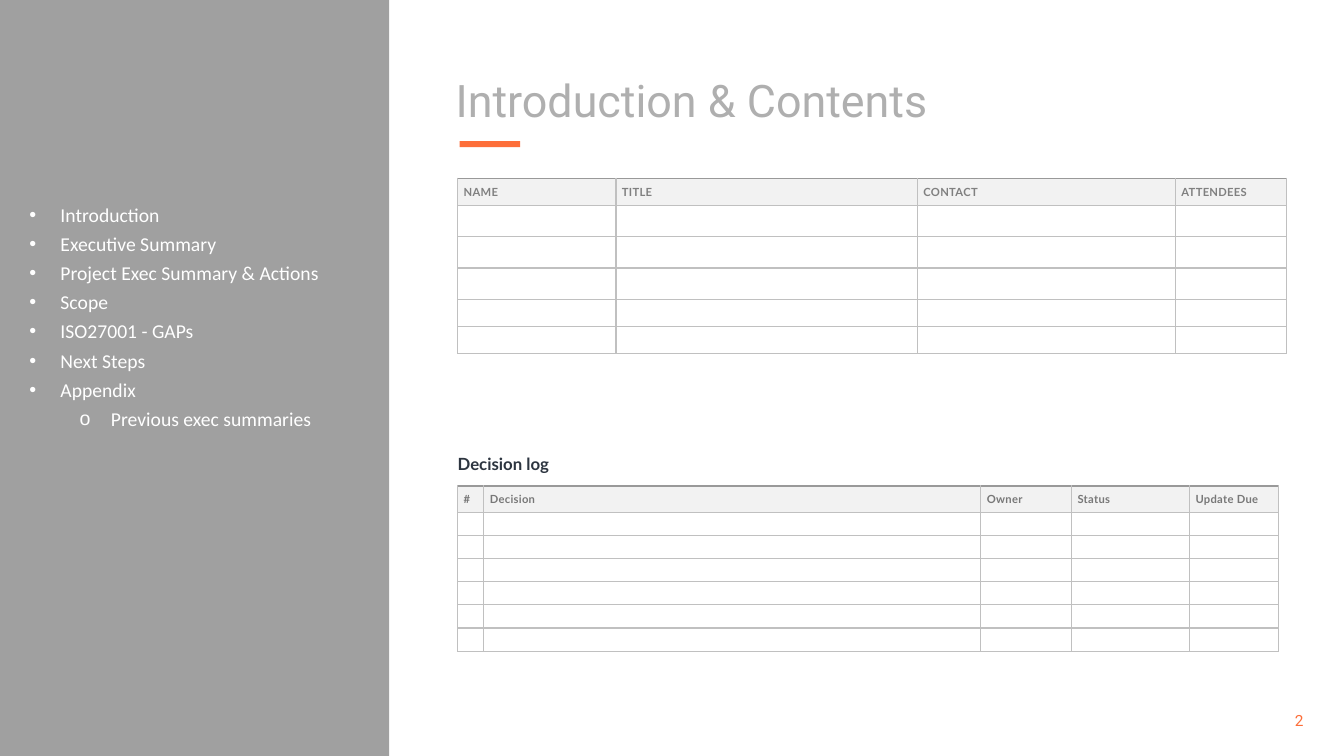
from lxml.etree import SubElement
from pptx import Presentation
from pptx.dml.color import RGBColor
from pptx.enum.shapes import MSO_SHAPE
from pptx.enum.text import MSO_ANCHOR, MSO_AUTO_SIZE, PP_ALIGN
from pptx.oxml import parse_xml
from pptx.oxml.ns import nsdecls, qn
from pptx.util import Inches, Pt

THEME = {
    "sidebar": "A0A0A0", "accent": "FD6E39", "title": "AFAFAF",
    "contents": "FFFFFF", "log": "2D3540", "header_fill": "F2F2F2",
    "grid": "C0C0C0", "header_edge": "999999",
    "display": "Roboto", "body": "Calibri", "label": "Lato",
    "title_size": 32, "contents_size": 14, "log_size": 12,
    "number_size": 11, "label_size": 8,
}

deck = Presentation()
deck.slide_width, deck.slide_height = Inches(13.33), Inches(7.5)
slide = deck.slides.add_slide(deck.slide_layouts[1])


def area(left, top, width, height):
    """Turn percentages of the slide's width and height into lengths."""
    across, down = deck.slide_width / 100, deck.slide_height / 100
    return int(left * across), int(top * down), int(width * across), int(height * down)


def write(paragraph, text, *, size, font, color, bold=False, align=PP_ALIGN.LEFT,
          before=0, after=0, leading=1.0, tracking=0):
    paragraph.alignment = align
    paragraph.space_before, paragraph.space_after = Pt(before), Pt(after)
    paragraph.line_spacing = leading
    run = paragraph.add_run()
    run.text = text
    run.font.size, run.font.name, run.font.bold = Pt(size), font, bold
    run.font.color.rgb = RGBColor.from_string(color)
    if tracking:
        run.font._element.set("spc", str(int(tracking * 100)))


# Sidebar and accent bar, behind the text
for depth, (place, color) in enumerate([
    ((0, 0, 28.95, 100), THEME["sidebar"]),
    ((34.2, 18.67, 4.5, 0.8), THEME["accent"]),
]):
    bar = slide.shapes.add_shape(MSO_SHAPE.RECTANGLE, *area(*place))
    bar.shadow.inherit = False
    bar.fill.solid()
    bar.fill.fore_color.rgb = RGBColor.from_string(color)
    bar.line.fill.background()
    slide.shapes._spTree.insert(2 + depth, bar._element)

# Title
title = slide.shapes.title
title.left, title.top, title.width, title.height = area(33.15, 6.4, 60.15, 14.4)
title.text_frame.auto_size = MSO_AUTO_SIZE.NONE
title.text_frame.vertical_anchor = MSO_ANCHOR.MIDDLE
write(title.text_frame.paragraphs[0], "Introduction & Contents", leading=0.9,
      size=THEME["title_size"], font=THEME["display"], color=THEME["title"])

# Contents list
contents = slide.placeholders[1]
contents.left, contents.top, contents.width, contents.height = area(0.75, 26.13, 27.45, 34.67)
contents.text_frame.auto_size = MSO_AUTO_SIZE.NONE
contents.text_frame.vertical_anchor = MSO_ANCHOR.TOP
sections = [
    ("Introduction", 0), ("Executive Summary", 0),
    ("Project Exec Summary & Actions", 0), ("Scope", 0),
    ("ISO27001 - GAPs", 0), ("Next Steps", 0), ("Appendix", 0),
    ("Previous exec summaries", 1),
]
for index, (section, level) in enumerate(sections):
    frame = contents.text_frame
    entry = frame.add_paragraph() if index else frame.paragraphs[0]
    entry.level = level
    write(entry, section, before=2, after=2, size=THEME["contents_size"],
          font=THEME["body"], color=THEME["contents"])
    indents = entry._p.get_or_add_pPr()
    indents.set("marL", str(Inches(0.4 + 0.5 * level)))
    indents.set("indent", str(Inches(-0.31)))
    SubElement(indents, qn("a:buChar")).set("char", "•o"[level])

# Attendee table and decision log: top, columns, rows, headings, heading colour
tables = [
    (23.6, [11.78, 22.43, 19.2, 8.25], [3.6] + [4.13] * 3 + [3.6] * 2,
     ["NAME", "TITLE", "CONTACT", "ATTENDEES"], "808080"),
    (64.27, [1.95, 36.98, 6.75, 8.78, 6.6], [3.47] + [3.07] * 6,
     ["#", "Decision", "Owner", "Status", "Update Due"], "787878"),
]
for top, columns, rows, headings, heading_color in tables:
    table = slide.shapes.add_table(
        len(rows), len(columns), *area(34.05, top, sum(columns), sum(rows))).table
    table.first_row = table.horz_banding = False
    for column, share in zip(table.columns, columns):
        column.width = area(0, 0, share, 0)[2]
    for row_index, (row, share) in enumerate(zip(table.rows, rows)):
        row.height = area(0, 0, 0, share)[3]
        for cell, heading in zip(row.cells, headings):
            cell.margin_left = cell.margin_right = Inches(0.06)
            cell.margin_top = cell.margin_bottom = Inches(0.01)
            cell.vertical_anchor = MSO_ANCHOR.MIDDLE
            label = cell.text_frame.paragraphs[0]
            if row_index == 0:
                cell.fill.solid()
                cell.fill.fore_color.rgb = RGBColor.from_string(THEME["header_fill"])
                write(label, heading, bold=True, tracking=0.2, color=heading_color,
                      size=THEME["label_size"], font=THEME["label"])
            else:
                cell.fill.background()
                SubElement(label._p, qn("a:endParaRPr")).set(
                    "sz", str(THEME["label_size"] * 100))
            for order, side in enumerate("LRTB"):
                header_top = row_index == 0 and side == "T"
                edge = THEME["header_edge" if header_top else "grid"]
                weight = Pt(1.5 if header_top else 1)
                cell._tc.get_or_add_tcPr().insert(order, parse_xml(
                    f'<a:ln{side} {nsdecls("a")} w="{weight}"><a:solidFill>'
                    f'<a:srgbClr val="{edge}"/></a:solidFill></a:ln{side}>'))

# Decision log heading
log = slide.shapes.add_textbox(*area(34.05, 60, 22.43, 2.67)).text_frame
log.word_wrap = True
log.margin_left = log.margin_right = log.margin_top = log.margin_bottom = 0
write(log.paragraphs[0], "Decision log", bold=True, after=1.4,
      size=THEME["log_size"], font=THEME["label"], color=THEME["log"])

# Page number
page = slide.shapes.add_textbox(*area(91.43, 92.67, 6.3, 5.33)).text_frame
page.word_wrap = True
page.vertical_anchor = MSO_ANCHOR.MIDDLE
write(page.paragraphs[0], "2", align=PP_ALIGN.RIGHT, size=THEME["number_size"],
      font=THEME["display"], color=THEME["accent"])

deck.save("out.pptx")
